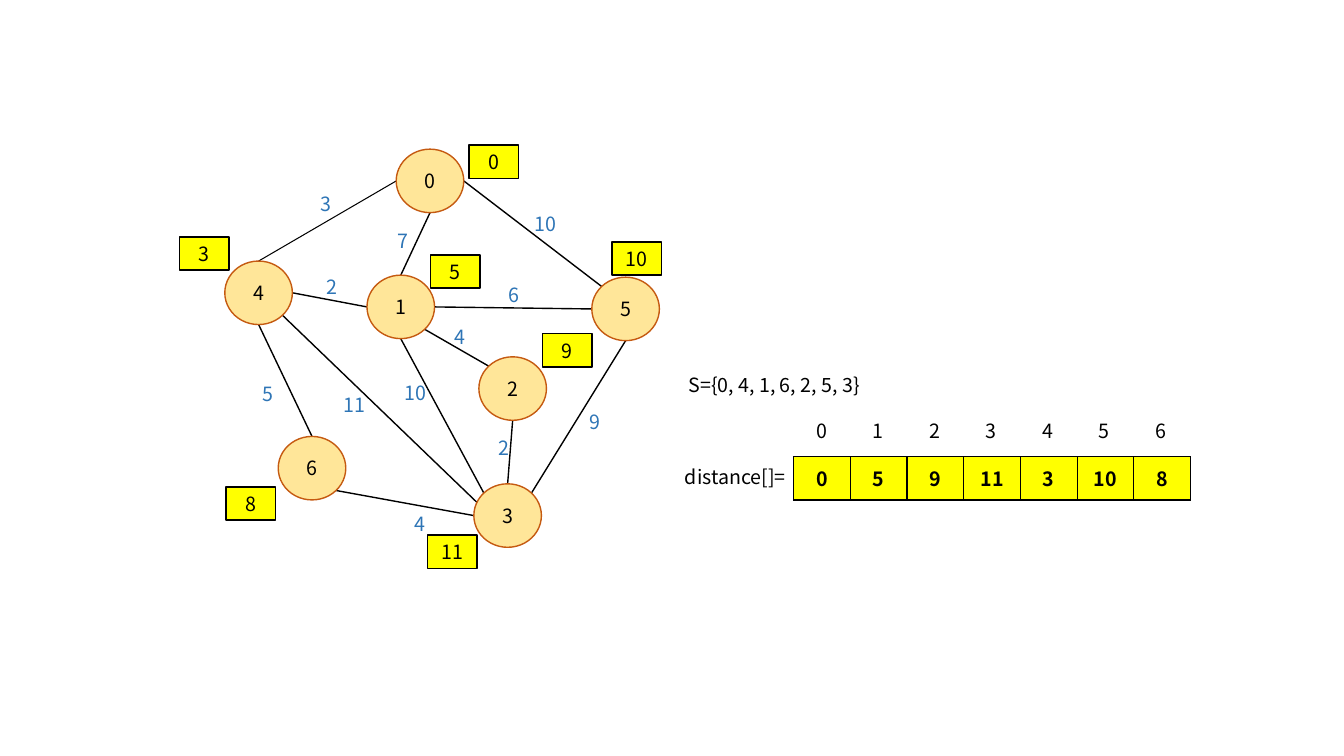
from lxml.etree import SubElement
from pptx import Presentation
from pptx.dml.color import RGBColor
from pptx.enum.shapes import MSO_CONNECTOR, MSO_SHAPE
from pptx.enum.text import MSO_ANCHOR, MSO_AUTO_SIZE, PP_ALIGN
from pptx.oxml import parse_xml
from pptx.oxml.ns import nsdecls, qn
from pptx.util import Inches, Pt

FONT = "Noto Sans CJK KR"
BLACK = RGBColor(0x00, 0x00, 0x00)
BLUE = RGBColor(0x2E, 0x75, 0xB6)
YELLOW = RGBColor(0xFF, 0xFF, 0x00)
NODE_FILL = RGBColor(0xFF, 0xE6, 0x99)
NODE_LINE = RGBColor(0xC5, 0x5A, 0x11)

presentation = Presentation()
presentation.slide_width = Inches(13.33)
presentation.slide_height = Inches(7.5)
slide = presentation.slides.add_slide(presentation.slide_layouts[6])

# Grid: 100 columns by 100 rows to ten inches square
CELL = Inches(0.1)
NODE_WIDTH, NODE_HEIGHT = 6.7, 6.3
TAG_WIDTH, TAG_HEIGHT = 4.9, 3.3
LABEL_WIDTH, LABEL_HEIGHT = 5.4, 3.4
TABLE_LEFT, TABLE_TOP, TABLE_WIDTH, TABLE_HEIGHT = 78.7, 45.3, 39.4, 4.3
INDEX_TOP, INDEX_WIDTH = 41.1, 5.6


def grid(*lengths):
    return [round(length * CELL) for length in lengths]


def write(frame, text, color=BLACK, align=PP_ALIGN.CENTER, bold=False):
    paragraph = frame.paragraphs[0]
    paragraph.alignment = align
    run = paragraph.add_run()
    run.text = text
    run.font.name = FONT
    run.font.size = Pt(14)
    run.font.bold = bold
    run.font.color.rgb = color


# Node: column and row of the ellipse, column and row of its distance tag
nodes = {
    0: (39.3, 14.8, 46.5, 14.4),
    1: (36.4, 27.3, 42.7, 25.3),
    2: (47.5, 35.4, 53.8, 33.1),
    3: (47.0, 48.0, 42.4, 53.1),
    4: (22.3, 25.9, 17.8, 23.5),
    5: (58.7, 27.5, 60.7, 24.0),
    6: (27.6, 43.3, 22.4, 48.3),
}
distances = [0, 5, 9, 11, 3, 10, 8]

# Where edges meet a node, as shares of its width and height
sites = {
    "top": (0.5, 0), "bottom": (0.5, 1), "left": (0, 0.5), "right": (1, 0.5),
    "top left": (0.15, 0.15), "top right": (0.85, 0.15),
    "bottom right": (0.85, 0.85), "inside": (0.19, 0.44),
}

# Edge: start node and site, end node and site, weight, column and row of label
edges = [
    (4, "top", 0, "left", 3, 29.6, 18.6),
    (1, "right", 5, "left", 6, 48.3, 27.6),
    (0, "right", 5, "top left", 10, 51.4, 20.5),
    (3, "inside", 4, "bottom right", 11, 32.5, 38.5),
    (6, "top", 4, "bottom", 5, 23.9, 37.4),
    (3, "top left", 1, "bottom", 10, 38.5, 37.3),
    (3, "left", 6, "bottom right", 4, 39.0, 50.3),
    (2, "top left", 1, "bottom right", 4, 42.9, 31.7),
    (3, "top", 2, "bottom", 2, 47.3, 42.8),
    (1, "top", 0, "bottom", 7, 37.3, 22.2),
    (4, "right", 1, "left", 2, 30.2, 26.8),
    (3, "top right", 5, "bottom", 9, 56.3, 40.2),
]

# Edges, behind the nodes
for start, start_site, end, end_site, *_ in edges:
    ends = []
    for node, site in ((start, start_site), (end, end_site)):
        across, down = sites[site]
        ends += [nodes[node][0] + across * NODE_WIDTH,
                 nodes[node][1] + down * NODE_HEIGHT]
    connector = slide.shapes.add_connector(MSO_CONNECTOR.STRAIGHT, *grid(*ends))
    connector.line.color.rgb = BLACK
    connector.line.width = Pt(0.75 if (start, end) == (4, 0) else 1)
    SubElement(connector._element.spPr, qn("a:effectLst"))

# Nodes and distance tags
for node, (left, top, tag_left, tag_top) in nodes.items():
    for kind, place, fill, line, text in (
        (MSO_SHAPE.OVAL, (left, top, NODE_WIDTH, NODE_HEIGHT),
         NODE_FILL, NODE_LINE, node),
        (MSO_SHAPE.RECTANGLE, (tag_left, tag_top, TAG_WIDTH, TAG_HEIGHT),
         YELLOW, BLACK, distances[node]),
    ):
        shape = slide.shapes.add_shape(kind, *grid(*place))
        shape.shadow.inherit = False
        shape.fill.solid()
        shape.fill.fore_color.rgb = fill
        shape.line.color.rgb = line
        shape.line.width = Pt(1)
        shape.text_frame.vertical_anchor = MSO_ANCHOR.MIDDLE
        write(shape.text_frame, str(text))

# Edge weights, array indexes and captions
labels = [(str(weight), left, top, LABEL_WIDTH, BLUE, PP_ALIGN.CENTER)
          for *_, weight, left, top in edges]
labels += [(str(node), TABLE_LEFT + node * INDEX_WIDTH, INDEX_TOP, INDEX_WIDTH,
            BLACK, PP_ALIGN.CENTER) for node in nodes]
labels += [
    ("distance[]=", 65.3, 45.6, 15.3, BLACK, PP_ALIGN.CENTER),
    ("S={0, 4, 1, 6, 2, 5, 3}", 67.3, 36.5, 26.8, BLACK, PP_ALIGN.LEFT),
]
for text, left, top, width, color, align in labels:
    box = slide.shapes.add_textbox(*grid(left, top, width, LABEL_HEIGHT))
    box.text_frame.word_wrap = True
    box.text_frame.auto_size = MSO_AUTO_SIZE.SHAPE_TO_FIT_TEXT
    write(box.text_frame, text, color, align)

# Distance array
table = slide.shapes.add_table(
    1, len(distances),
    *grid(TABLE_LEFT, TABLE_TOP, TABLE_WIDTH, TABLE_HEIGHT)).table
table.first_row = False
table.horz_banding = False
for cell, distance in zip(table.iter_cells(), distances):
    cell.vertical_anchor = MSO_ANCHOR.MIDDLE
    write(cell.text_frame, str(distance), bold=True)
    properties = cell._tc.get_or_add_tcPr()
    for side in ("lnL", "lnR", "lnT", "lnB"):
        properties.append(parse_xml(
            f'<a:{side} {nsdecls("a")} w="{Pt(1)}"><a:solidFill>'
            f'<a:srgbClr val="{BLACK}"/></a:solidFill></a:{side}>'))
    cell.fill.solid()
    cell.fill.fore_color.rgb = YELLOW

presentation.save("out.pptx")
